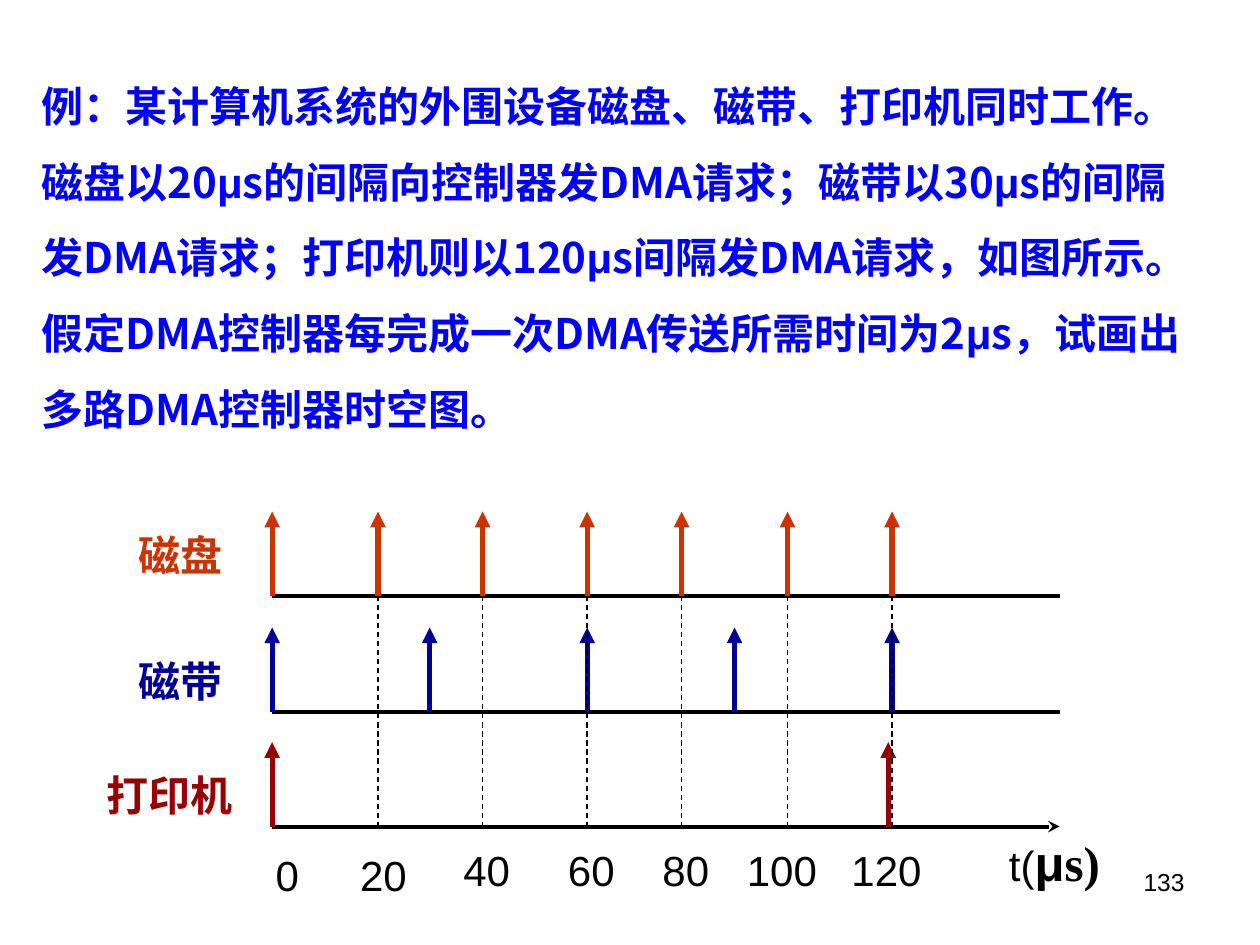
from dataclasses import dataclass

from pptx import Presentation
from pptx.dml.color import RGBColor
from pptx.enum.dml import MSO_LINE
from pptx.enum.shapes import MSO_CONNECTOR
from pptx.enum.text import MSO_ANCHOR, MSO_AUTO_SIZE, PP_ALIGN
from pptx.oxml.ns import qn
from pptx.util import Inches, Pt

STRAIGHT = MSO_CONNECTOR.STRAIGHT
DASH = MSO_LINE.DASH
TOP = MSO_ANCHOR.TOP
NO_AUTOFIT = MSO_AUTO_SIZE.NONE
LEFT, RIGHT = PP_ALIGN.LEFT, PP_ALIGN.RIGHT

BLACK = RGBColor(0x00, 0x00, 0x00)
BLUE = RGBColor(0x00, 0x00, 0xFF)
ORANGE = RGBColor(0xCC, 0x33, 0x00)
NAVY = RGBColor(0x00, 0x00, 0x99)
DARK_RED = RGBColor(0x99, 0x00, 0x00)

ARIAL, CJK, TIMES = "Arial", "Noto Sans CJK SC", "Times New Roman"

AXIS_LEFT, AXIS_RIGHT = 2.16, 8.41
REQUEST_HEIGHT = 0.67
TIME_X = {0: AXIS_LEFT, 20: 3.0, 30: 3.41, 40: 3.83, 60: 4.66,
          80: 5.41, 90: 5.83, 100: 6.25, 120: 7.08}

PROBLEM = (
    "例：某计算机系统的外围设备磁盘、磁带、打印机同时工作。磁盘以20μs的间隔向控制器发DMA请求；"
    "磁带以30μs的间隔发DMA请求；打印机则以120μs间隔发DMA请求，如图所示。"
    "假定DMA控制器每完成一次DMA传送所需时间为2μs，试画出多路DMA控制器时空图。"
)


@dataclass(frozen=True)
class TextRun:
    text: str
    size: float = 24
    latin: str = ARIAL
    east_asian: str = CJK
    color: RGBColor = BLACK
    bold: bool = False


@dataclass(frozen=True)
class Box:
    left: float
    top: float
    width: float
    height: float = 0.5


@dataclass(frozen=True)
class Device:
    name: str
    color: RGBColor
    axis_y: float
    label: Box
    request_x: tuple[float, ...]


@dataclass(frozen=True)
class Tick:
    time: int
    box: Box


DEVICES = (
    Device("磁盘", ORANGE, 4.73, Box(1, 4.15, 0.92),
           tuple(TIME_X[t] for t in range(0, 121, 20))),
    Device("磁带", NAVY, 5.65, Box(1, 5.15, 0.92),
           tuple(TIME_X[t] for t in range(0, 121, 30))),
    Device("打印机", DARK_RED, 6.56, Box(0.75, 6.06, 1.25), (TIME_X[0], 7.05)),
)

TICKS = (
    Tick(0, Box(2.09, 6.69, 0.47)),
    Tick(20, Box(2.76, 6.69, 0.67)),
    Tick(40, Box(3.58, 6.65, 0.67)),
    Tick(60, Box(4.41, 6.65, 0.67)),
    Tick(80, Box(5.16, 6.65, 0.67)),
    Tick(100, Box(5.83, 6.65, 0.83)),
    Tick(120, Box(6.66, 6.65, 0.83)),
)


def add_runs(paragraph, runs: list[TextRun]) -> None:
    for item in runs:
        run = paragraph.add_run()
        run.text = item.text
        font_format = {"size": Pt(item.size), "name": item.latin, "bold": item.bold}
        for attribute, value in font_format.items():
            setattr(run.font, attribute, value)
        run.font.color.rgb = item.color
        east_asian = run.font._element.makeelement(qn("a:ea"), {"typeface": item.east_asian})
        run.font._element.find(qn("a:latin")).addnext(east_asian)


def fill_text(shape, runs: list[TextRun], align: PP_ALIGN = LEFT, spacing: float = 1.0) -> None:
    frame_format = {"word_wrap": True, "auto_size": NO_AUTOFIT, "vertical_anchor": TOP}
    for attribute, value in frame_format.items():
        setattr(shape.text_frame, attribute, value)
    paragraph = shape.text_frame.paragraphs[0]
    paragraph_format = {"alignment": align, "line_spacing": spacing, "space_before": Pt(0)}
    for attribute, value in paragraph_format.items():
        setattr(paragraph, attribute, value)
    add_runs(paragraph, runs)


def add_label(slide, box: Box, runs: list[TextRun], align: PP_ALIGN = LEFT) -> None:
    lengths = (Inches(v) for v in (box.left, box.top, box.width, box.height))
    fill_text(slide.shapes.add_textbox(*lengths), runs, align)


def add_line(slide, start: tuple[float, float], end: tuple[float, float], color: RGBColor,
             width: float, arrows: dict[str, str] | None = None, dashed: bool = False) -> None:
    """Draw a line; arrows maps headEnd (start) or tailEnd (end) to an arrow type."""
    connector = slide.shapes.add_connector(STRAIGHT, *(Inches(v) for v in (*start, *end)))
    connector.line.color.rgb = color
    connector.line.width = Pt(width)
    if dashed:
        connector.line.dash_style = DASH
    outline = connector.line._get_or_add_ln()
    for tag, kind in (arrows or {}).items():
        outline.append(outline.makeelement(qn(f"a:{tag}"), {"type": kind}))
    properties = connector.element.spPr
    properties.append(properties.makeelement(qn("a:effectLst"), {}))


def add_problem(slide) -> None:
    body = slide.placeholders[1]
    position = {"left": 0.23, "top": 0.39, "width": 9.45, "height": 3.1}
    for attribute, value in position.items():
        setattr(body, attribute, Inches(value))
    properties = body.text_frame.paragraphs[0]._p.get_or_add_pPr()
    for attribute in ("marL", "indent"):
        properties.set(attribute, "0")
    properties.append(properties.makeelement(qn("a:buNone"), {}))
    runs = []
    for part in PROBLEM.replace("μ", "|μ|").split("|"):
        latin = ARIAL if part == "μ" else CJK
        runs.append(TextRun(part, latin=latin, color=BLUE, bold=True))
    fill_text(body, runs, spacing=1.5)


def add_timeline(slide) -> None:
    for device in DEVICES:
        arrows = {"tailEnd": "stealth"} if device is DEVICES[-1] else None
        add_line(slide, (AXIS_LEFT, device.axis_y), (AXIS_RIGHT, device.axis_y),
                 BLACK, 2.25, arrows)
    for device in DEVICES:
        for x in device.request_x:
            add_line(slide, (x, device.axis_y - REQUEST_HEIGHT), (x, device.axis_y),
                     device.color, 3, {"headEnd": "triangle"})
        add_label(slide, device.label, [TextRun(device.name, color=device.color, bold=True)])
    for tick in TICKS:
        if tick.time:
            x = TIME_X[tick.time]
            add_line(slide, (x, DEVICES[0].axis_y), (x, DEVICES[-1].axis_y),
                     BLACK, 0.75, dashed=True)
        add_label(slide, tick.box, [TextRun(str(tick.time))])
    add_label(slide, Box(7.91, 6.56, 1, 0.57), [
        TextRun("t("),
        TextRun("μ", 28, ARIAL, TIMES, bold=True),
        TextRun("s)", 28, TIMES, TIMES, bold=True),
    ])


def main() -> None:
    presentation = Presentation()
    presentation.slide_width, presentation.slide_height = Inches(10), Inches(7.5)
    slide = presentation.slides.add_slide(presentation.slide_layouts[1])
    empty_title = slide.shapes.title.element
    empty_title.getparent().remove(empty_title)
    add_problem(slide)
    add_timeline(slide)
    add_label(slide, Box(7.17, 6.83, 2.33, 0.52), [TextRun("133", 14)], RIGHT)
    presentation.save("out.pptx")


if __name__ == "__main__":
    main()
